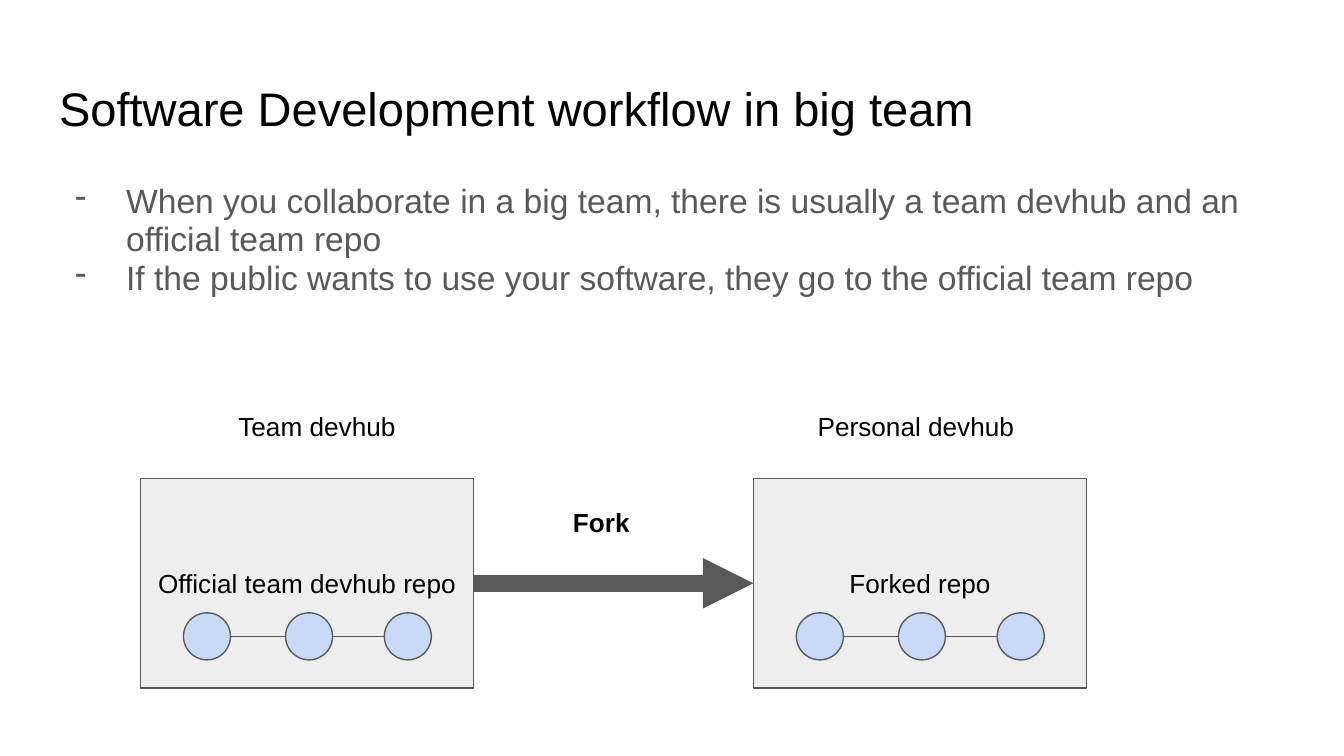
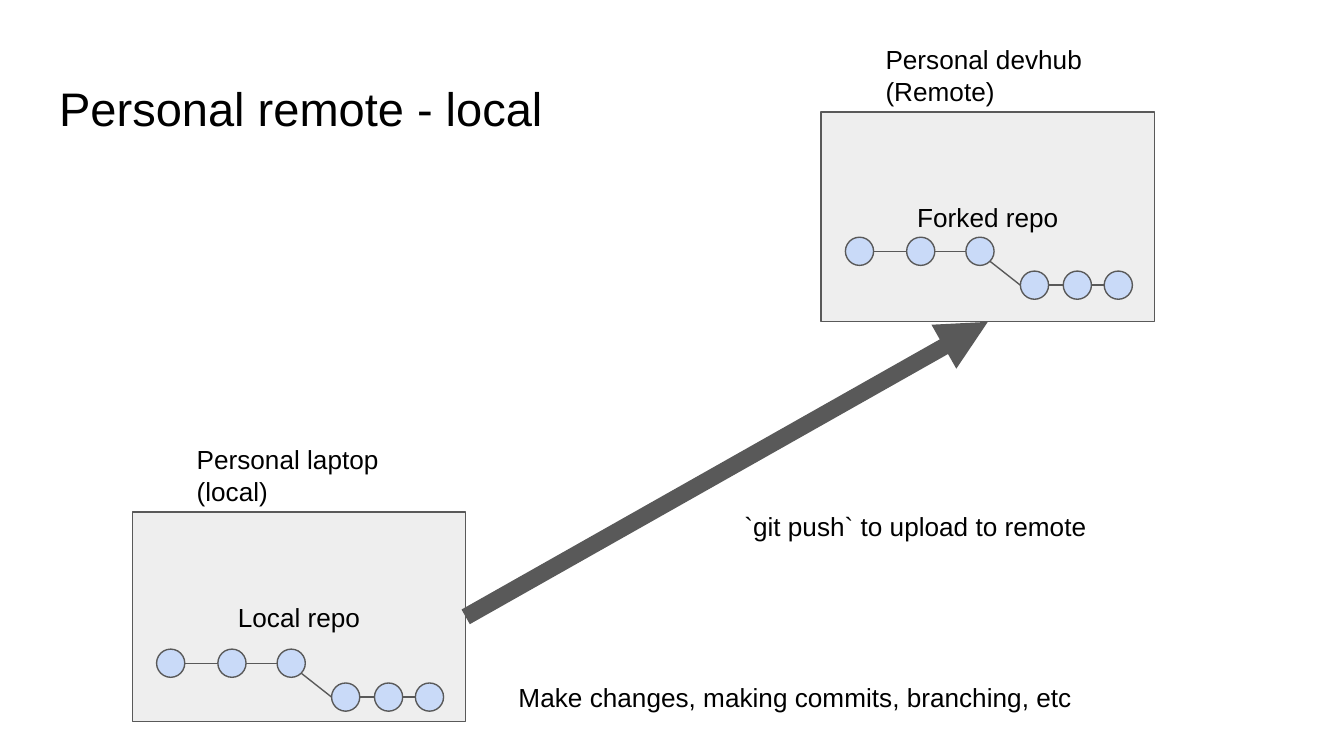
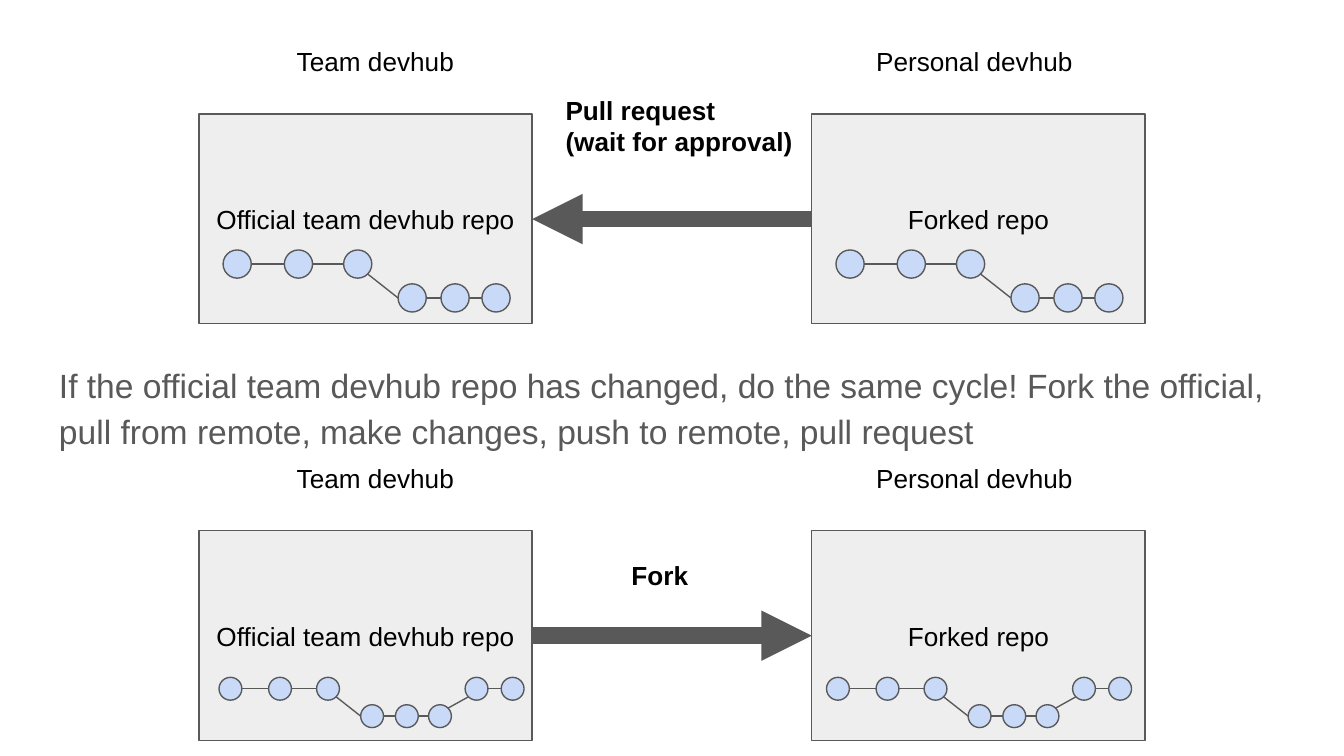
from dataclasses import dataclass
from itertools import pairwise

from lxml.etree import SubElement
from pptx import Presentation
from pptx.dml.color import RGBColor
from pptx.enum.shapes import MSO_CONNECTOR, MSO_SHAPE
from pptx.enum.text import MSO_ANCHOR, MSO_AUTO_SIZE, PP_ALIGN
from pptx.oxml.ns import qn
from pptx.util import Inches, Pt

COLUMNS, ROWS = 100, 56.25
CELL = Inches(0.1)
TITLE_ONLY, BLANK = 5, 6
TOP, LEFT, BOTTOM, RIGHT = range(4)

# Commit places, in circle diameters from the first commit of a chain
COMMIT_PLACES = [(0, 0), (2.17, 0), (4.27, 0), (6.2, 1.2), (7.72, 1.2),
                 (9.17, 1.2), (10.77, 0), (12.35, 0)]
DIAGONAL = 0.85  # where a slanted link touches its circle


@dataclass(frozen=True)
class Theme:
    font: str = "Arial"
    ink: RGBColor = RGBColor(0x00, 0x00, 0x00)
    gray: RGBColor = RGBColor(0x59, 0x59, 0x59)
    panel: RGBColor = RGBColor(0xEE, 0xEE, 0xEE)
    commit: RGBColor = RGBColor(0xC9, 0xDA, 0xF8)
    title_size: float = 25.2
    body_size: float = 18
    label_size: float = 14
    thin: float = 0.75
    thick: float = 9


THEME = Theme()


@dataclass(frozen=True)
class Box:
    """A region in grid columns and rows."""
    left: float
    top: float
    width: float
    height: float

    def inside(self, left, top, width, height):
        return Box(self.left + left, self.top + top, width, height)

    def lengths(self):
        return [cells(n) for n in (self.left, self.top, self.width, self.height)]


def cells(count):
    return round(count * CELL)


def panel_box(left, top):
    return Box(left, top, 24.8, 15.6)


def body_box(top, height):
    return Box(3.4, top, 93.2, height)


def write_text(frame, lines, size=THEME.label_size, color=THEME.ink, bold=False,
               align=PP_ALIGN.LEFT, anchor=MSO_ANCHOR.TOP, spacing=None, after=None):
    frame.word_wrap = True
    frame.auto_size = MSO_AUTO_SIZE.NONE
    frame.vertical_anchor = anchor
    frame.margin_left = frame.margin_right = cells(1)
    frame.margin_top = frame.margin_bottom = cells(1)
    for index, line in enumerate(lines):
        para = frame.add_paragraph() if index else frame.paragraphs[0]
        para.text = line
        para.alignment = align
        if spacing:
            para.line_spacing = spacing
        if after:
            para.space_after = Pt(after)
        para.font.name = THEME.font
        para.font.size = Pt(size)
        para.font.bold = bold
        para.font.color.rgb = color


def add_text(page, box, lines, **style):
    frame = page.shapes.add_textbox(*box.lengths()).text_frame
    write_text(frame, lines, **style)
    return frame


def add_dashes(frame):
    """Give every paragraph a hanging dash."""
    for para in frame.paragraphs:
        props = para._p.get_or_add_pPr()
        props.set("marL", str(Inches(0.5)))
        props.set("indent", str(-Inches(0.38)))
        color = SubElement(props, qn("a:buClr"))
        SubElement(color, qn("a:srgbClr"), val=str(THEME.gray))
        dash = SubElement(props, qn("a:buChar"), char="-")
        props.find(qn("a:defRPr")).addprevious(color)
        color.addnext(dash)


def add_title(page, text, width):
    title = page.shapes.title
    title.left, title.top, title.width, title.height = Box(3.4, 4.9, width, 6.3).lengths()
    write_text(title.text_frame, [text], size=THEME.title_size)


def add_outlined(shapes, kind, box, fill):
    shape = shapes.add_shape(kind, *box.lengths())
    shape.shadow.inherit = False
    shape.fill.solid()
    shape.fill.fore_color.rgb = fill
    shape.line.color.rgb = THEME.gray
    shape.line.width = Pt(THEME.thin)
    return shape


def add_line(shapes, start, end, width=THEME.thin):
    points = [cells(n) for n in (*start, *end)]
    line = shapes.add_connector(MSO_CONNECTOR.STRAIGHT, *points)
    line.line.color.rgb = THEME.gray
    line.line.width = Pt(width)
    SubElement(line.element.spPr, qn("a:effectLst"))
    return line


def add_arrow(page, source, source_side, target, target_side):
    arrow = add_line(page.shapes, (0, 0), (1, 1), THEME.thick)
    arrow.begin_connect(source, source_side)
    arrow.end_connect(target, target_side)
    SubElement(arrow.element.spPr.find(qn("a:ln")), qn("a:tailEnd"), type="triangle")


def link_ends(first, second, size):
    """Points where the link between two neighbouring commits begins and ends."""
    step = second.top - first.top
    if step < 0:
        return ((first.left + DIAGONAL * size, first.top + (1 - DIAGONAL) * size),
                (second.left + (1 - DIAGONAL) * size, second.top + DIAGONAL * size))
    if step > 0:
        start = first.left + DIAGONAL * size, first.top + DIAGONAL * size
    else:
        start = first.left + size, first.top + size / 2
    return start, (second.left, second.top + size / 2)


def add_commits(page, panel, left, top, count, size):
    """Draw a chain of commits, placed from the panel's corner."""
    group = page.shapes.add_group_shape().shapes
    circles = [panel.inside(left + column * size, top + row * size, size, size)
               for column, row in COMMIT_PLACES[:count]]
    for circle in circles:
        add_outlined(group, MSO_SHAPE.OVAL, circle, THEME.commit)
    for first, second in pairwise(circles):
        add_line(group, *link_ends(first, second, size))


def add_repository(page, box, name, heading, commits, heading_left=3.8, heading_width=18.2):
    panel = add_outlined(page.shapes, MSO_SHAPE.RECTANGLE, box, THEME.panel)
    write_text(panel.text_frame, [name], align=PP_ALIGN.CENTER, anchor=MSO_ANCHOR.MIDDLE)
    add_text(page, box.inside(heading_left, -6.1, heading_width, 5.1), heading)
    add_commits(page, box, *commits)
    return panel


def add_exchange(page, left, top, team_commits, personal_commits, pull_request=False):
    """Place the team and personal repositories with an arrow between them."""
    box = panel_box(left, top)
    team = add_repository(page, box, "Official team devhub repo", ["Team devhub"],
                          team_commits, 6.3, 15.3)
    personal = add_repository(page, panel_box(left + 45.6, top), "Forked repo",
                              ["Personal devhub"], personal_commits)
    if pull_request:
        add_arrow(page, personal, LEFT, team, RIGHT)
        add_text(page, box.inside(26.3, -2.5, 20.3, 5.4),
                 ["Pull request", "(wait for approval)"], bold=True)
    else:
        add_arrow(page, team, RIGHT, personal, LEFT)
        add_text(page, box.inside(31.2, 1.1, 8.2, 5.4), ["Fork"], bold=True)


def add_workflow_page(deck):
    page = deck.slides.add_slide(deck.slide_layouts[TITLE_ONLY])
    add_title(page, "Software Development workflow in big team", 93.2)
    frame = add_text(page, body_box(12.6, 10.8), [
        "When you collaborate in a big team, there is usually a team devhub and an "
        "official team repo",
        "If the public wants to use your software, they go to the official team repo",
    ], size=THEME.body_size, color=THEME.gray, spacing=0.95)
    add_dashes(frame)
    commits = (3.2, 10, 3, 3.5)
    add_exchange(page, 10.45, 35.6, commits, commits)


def add_push_page(deck):
    page = deck.slides.add_slide(deck.slide_layouts[TITLE_ONLY])
    add_title(page, "Personal remote - local", 39.3)
    remote = add_repository(page, panel_box(61.1, 8.35), "Forked repo",
                            ["Personal devhub", "(Remote)"], (1.8, 9.3, 6, 2.1))
    local = add_repository(page, panel_box(9.85, 38.1), "Local repo",
                           ["Personal laptop", "(local)"], (1.8, 10.2, 6, 2.1))
    add_arrow(page, local, RIGHT, remote, BOTTOM)
    add_text(page, Box(54.4, 37, 42.3, 9.7), ["`git push` to upload to remote"])
    add_text(page, Box(37.6, 49.7, 46.3, 5.4),
             ["Make changes, making commits, branching, etc"])


def add_cycle_page(deck):
    page = deck.slides.add_slide(deck.slide_layouts[BLANK])
    branched = (1.8, 10.1, 6, 2.1)
    add_exchange(page, 14.8, 8.5, branched, branched, pull_request=True)
    add_text(page, body_box(25.7, 8.6), [
        "If the official team devhub repo has changed, do the same cycle! Fork the "
        "official, pull from remote, make changes, push to remote, pull request",
    ], size=THEME.body_size, color=THEME.gray, spacing=1.15, after=12)
    add_exchange(page, 14.8, 39.5, (1.5, 10.9, 8, 1.7), (1.1, 10.9, 8, 1.7))


def main():
    deck = Presentation()
    deck.slide_width, deck.slide_height = cells(COLUMNS), cells(ROWS)
    add_workflow_page(deck)
    add_push_page(deck)
    add_cycle_page(deck)
    deck.save("out.pptx")


if __name__ == "__main__":
    main()
